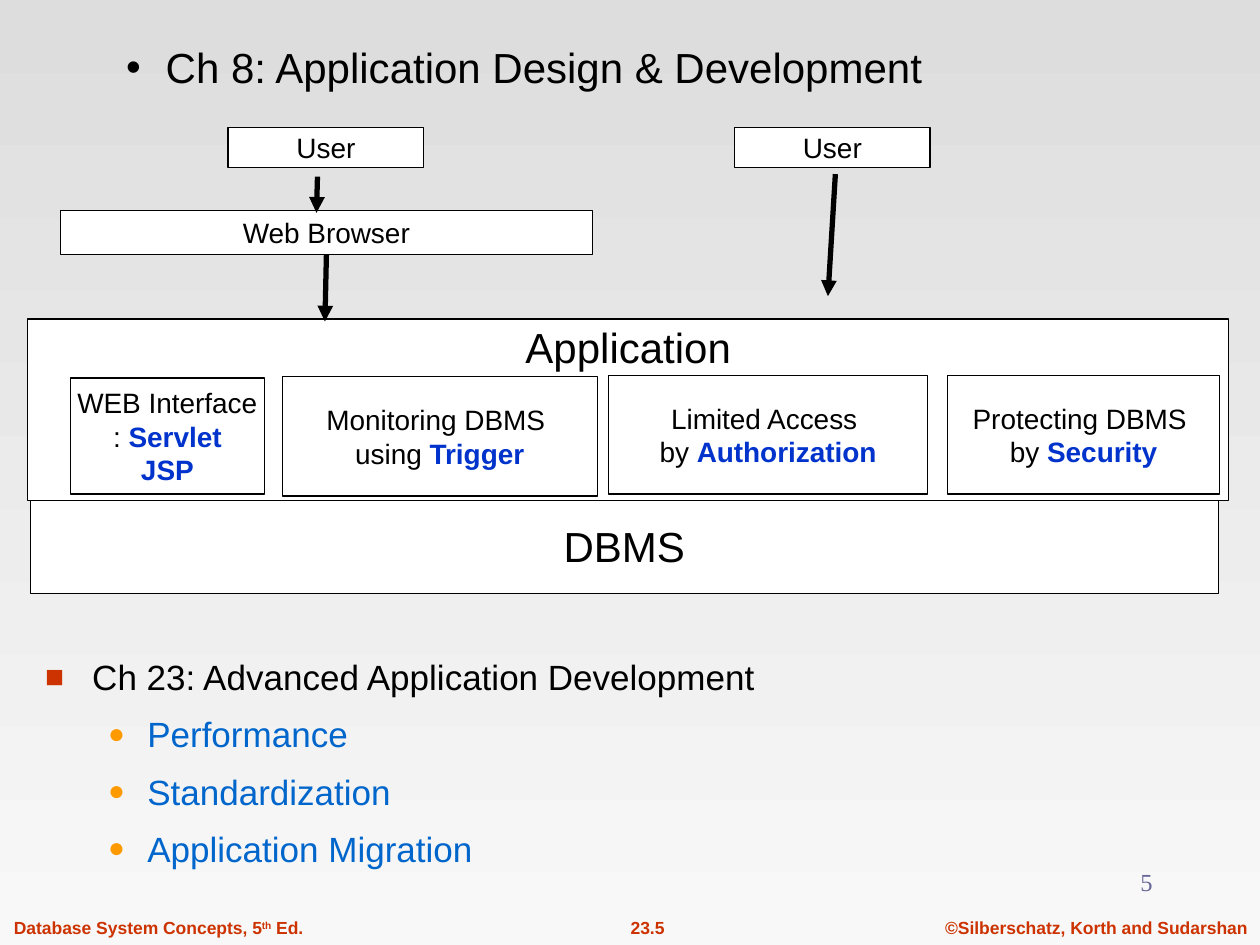
from dataclasses import dataclass
from typing import Any

from pptx import Presentation
from pptx.dml.color import RGBColor
from pptx.enum.shapes import MSO_CONNECTOR, MSO_SHAPE
from pptx.enum.text import MSO_ANCHOR, MSO_AUTO_SIZE, PP_ALIGN
from pptx.oxml.ns import qn
from pptx.util import Cm, Pt
from lxml import etree

LEFT, CENTER, RIGHT = PP_ALIGN.LEFT, PP_ALIGN.CENTER, PP_ALIGN.RIGHT
TOP, MIDDLE = MSO_ANCHOR.TOP, MSO_ANCHOR.MIDDLE
NO_FIT = MSO_AUTO_SIZE.NONE
RECTANGLE = MSO_SHAPE.RECTANGLE
STRAIGHT = MSO_CONNECTOR.STRAIGHT
BOTTOM_SIDE = 2


def color(value):
    return RGBColor.from_string(value)


@dataclass
class SlideStyle:
    page: Any
    font: str = "Arial"
    ink: str = "000000"
    paper: str = "FFFFFF"
    keyword: str = "0033CC"
    accent: str = "CC3300"
    item: str = "0066CC"
    item_bullet: str = "FF9900"

    def background(self, top, bottom):
        fill = self.page.background.fill
        fill.gradient()
        fill.gradient_angle = 270
        for stop, (position, value) in zip(fill.gradient_stops, ((0, top), (1, bottom))):
            stop.position = position
            stop.color.rgb = color(value)

    def frame(self, box, anchor=TOP, wrap=True):
        frame = box.text_frame
        frame.auto_size = NO_FIT
        frame.word_wrap = wrap
        frame.vertical_anchor = anchor
        frame.margin_left = frame.margin_right = Cm(0.25)
        frame.margin_top = frame.margin_bottom = Cm(0.13)
        return frame

    def paragraph(self, frame, first, align=LEFT):
        para = frame.paragraphs[0] if first else frame.add_paragraph()
        para.alignment = align
        return para

    def span(self, para, text, size, value=None, bold=False, font=None):
        span = para.add_run()
        span.text = text
        span.font.name = font or self.font
        span.font.size = Pt(size)
        span.font.bold = bold
        span.font.color.rgb = color(value or self.ink)
        return span

    def bullet(self, para, character, value, percent, margin, hanging):
        properties = para._p.get_or_add_pPr()
        properties.set("marL", str(Cm(margin)))
        properties.set("indent", str(-Cm(hanging)))
        tint = etree.SubElement(properties, qn("a:buClr"))
        etree.SubElement(tint, qn("a:srgbClr"), val=value)
        etree.SubElement(properties, qn("a:buSzPct"), val=str(percent * 1000))
        etree.SubElement(properties, qn("a:buFont"), typeface=self.font)
        etree.SubElement(properties, qn("a:buChar"), char=character)

    def title(self, text, left, top, width, height):
        box = self.page.shapes.title
        box.left, box.top, box.width, box.height = map(Cm, (left, top, width, height))
        para = self.paragraph(self.frame(box), True)
        self.bullet(para, "•", self.ink, 100, 0.8, 0.8)
        self.span(para, text, 24)

    def rectangle(self, lines, left, top, width, height, size=16, anchor=MIDDLE):
        box = self.page.shapes.add_shape(RECTANGLE, *map(Cm, (left, top, width, height)))
        box.shadow.inherit = False
        box.fill.solid()
        box.fill.fore_color.rgb = color(self.paper)
        box.line.color.rgb = color(self.ink)
        box.line.width = Pt(0.75)
        frame = self.frame(box, anchor, wrap=False)
        for index, (plain, strong) in enumerate(lines):
            para = self.paragraph(frame, index == 0, CENTER)
            if plain:
                self.span(para, plain, size)
            if strong:
                self.span(para, strong, size, self.keyword, bold=True)
        return box

    def arrow(self, start, end, source=None):
        line = self.page.shapes.add_connector(STRAIGHT, *map(Cm, (*start, *end)))
        if source is not None:
            line.begin_connect(source, BOTTOM_SIDE)
        line.line.color.rgb = color(self.ink)
        line.line.width = Pt(3)
        properties = line._element.spPr
        etree.SubElement(properties.find(qn("a:ln")), qn("a:tailEnd"), type="triangle")
        etree.SubElement(properties, qn("a:effectLst"))

    def text(self, left, top, width, height, align=LEFT, wrap=True):
        box = self.page.shapes.add_textbox(*map(Cm, (left, top, width, height)))
        frame = self.frame(box, wrap=wrap)
        return frame, self.paragraph(frame, True, align)

    def footer(self, text, left, width, align=CENTER):
        para = self.text(left, 18.36, width, 0.69, align, wrap=False)[1]
        self.span(para, text, 10, self.accent, bold=True)
        return para

    def outline(self, heading, items, left, top, width, height):
        frame, para = self.text(left, top, width, height)
        self.bullet(para, "■", self.accent, 90, 0.95, 0.95)
        self.span(para, heading, 20)
        for item in items:
            para = self.paragraph(frame, False)
            para.level = 1
            para.space_before = Pt(8.8)
            self.bullet(para, "●", self.item_bullet, 80, 2.06, 0.79)
            self.span(para, item, 20, self.item)

    def swoosh(self, points):
        builder = self.page.shapes.build_freeform(*points[0], scale=Cm(1))
        builder.add_line_segments(points[1:], close=True)
        shape = builder.convert_to_shape()
        shape.shadow.inherit = False
        shape.fill.solid()
        shape.fill.fore_color.rgb = color(self.paper)
        shape.line.fill.background()


def main():
    deck = Presentation()
    deck.slide_width, deck.slide_height = Cm(25.4), Cm(19.05)
    style = SlideStyle(deck.slides.add_slide(deck.slide_layouts[5]))
    style.background("DDDDDD", "F8F8F8")
    style.title("Ch 8: Application Design & Development", 2.29, 0.71, 19.08, 1.27)

    style.footer("©Silberschatz, Korth and Sudarshan", 18.8, 6.6)
    style.footer("23.5", 11.71, 2.69)
    edition = style.footer("Database System Concepts, 5", 0.03, 6.32, LEFT)
    ordinal = style.span(edition, "th", 10, style.accent, bold=True)
    ordinal._r.get_or_add_rPr().set("baseline", "30000")
    style.span(edition, " Ed.", 10, style.accent, bold=True)

    style.swoosh([
        (24.77, 15.27), (24.79, 15.19), (24.87, 15.14), (24.97, 15.11),
        (25.07, 15.12), (25.2, 15.15), (25.32, 15.17), (25.4, 15.19),
        (25.37, 15.22), (25.25, 15.19), (25.1, 15.17), (25.1, 15.24),
        (25.02, 15.17), (25.02, 15.24), (24.94, 15.17), (24.97, 15.24),
        (24.89, 15.19), (24.82, 15.22),
    ])

    style.rectangle([("DBMS", "")], 0.61, 10.03, 23.95, 1.93, 24)
    application = style.rectangle([("Application", "")], 0.56, 6.43, 24.21, 3.66, 24, TOP)
    application.text_frame.margin_top = Cm(0.05)

    modules = [
        ([("Monitoring DBMS ", ""), ("using ", "Trigger")], 5.69, 7.59, 6.35, 2.41),
        ([("Limited Access ", ""), ("by ", "Authorization")], 12.27, 7.57, 6.43, 2.39),
        ([("WEB Interface", ""), (": ", "Servlet"), ("", "JSP")], 1.42, 7.62, 3.91, 2.34),
        ([("Protecting DBMS ", ""), ("by ", "Security")], 19.1, 7.57, 5.49, 2.39),
    ]
    for lines, *place in modules:
        style.rectangle(lines, *place)

    for left in (4.6, 14.81):
        style.rectangle([("User", "")], left, 2.57, 3.94, 0.81)
    browser = style.rectangle([("Web Browser", "")], 1.22, 4.24, 10.72, 0.89)

    style.arrow((6.4, 3.56), (6.38, 4.29))
    style.arrow((6.58, 5.13), (6.55, 6.48), browser)
    style.arrow((16.84, 3.51), (16.69, 5.97))

    style.outline(
        "Ch 23: Advanced Application Development",
        ["Performance", "Standardization", "Application Migration"],
        0.66, 13.08, 21.59, 4.83,
    )
    number = style.text(18.21, 17.35, 5.28, 1.27, RIGHT)[1]
    style.span(number, "5", 14, "666699", font="Times New Roman")
    deck.save("out.pptx")


if __name__ == "__main__":
    main()
